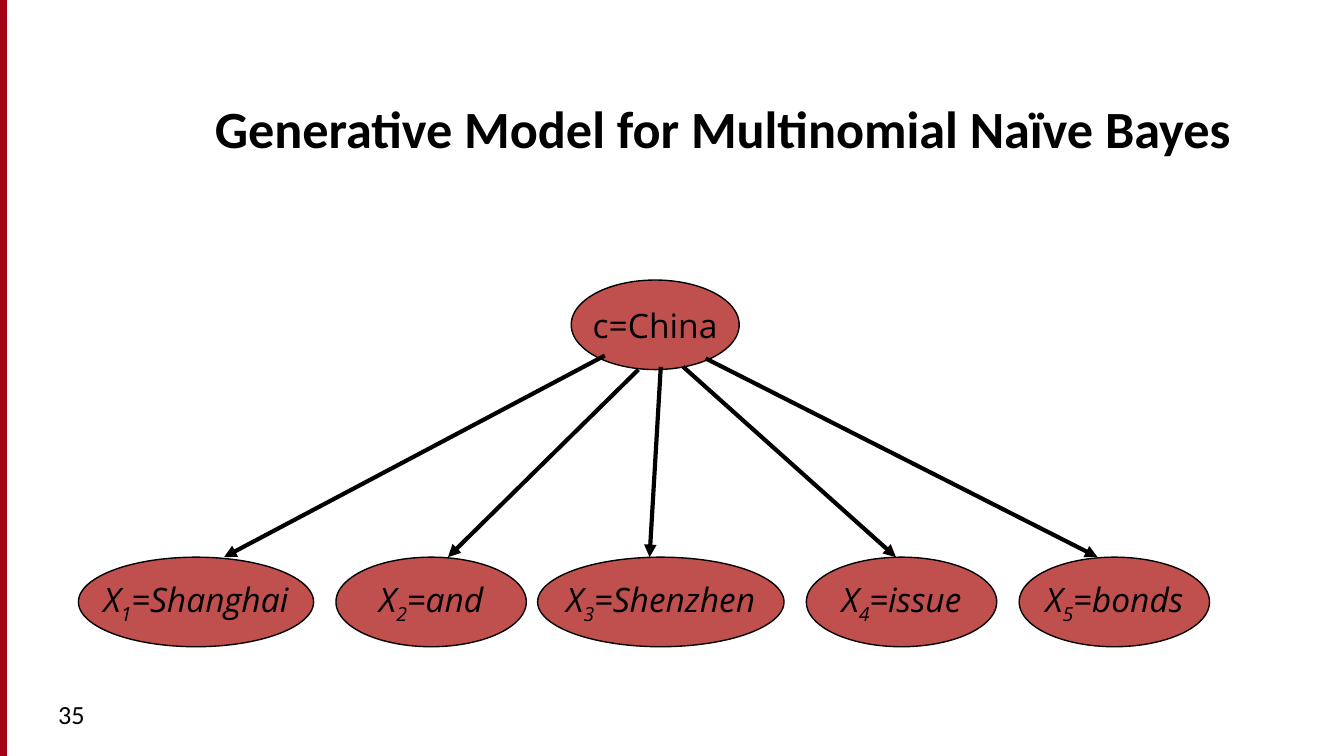
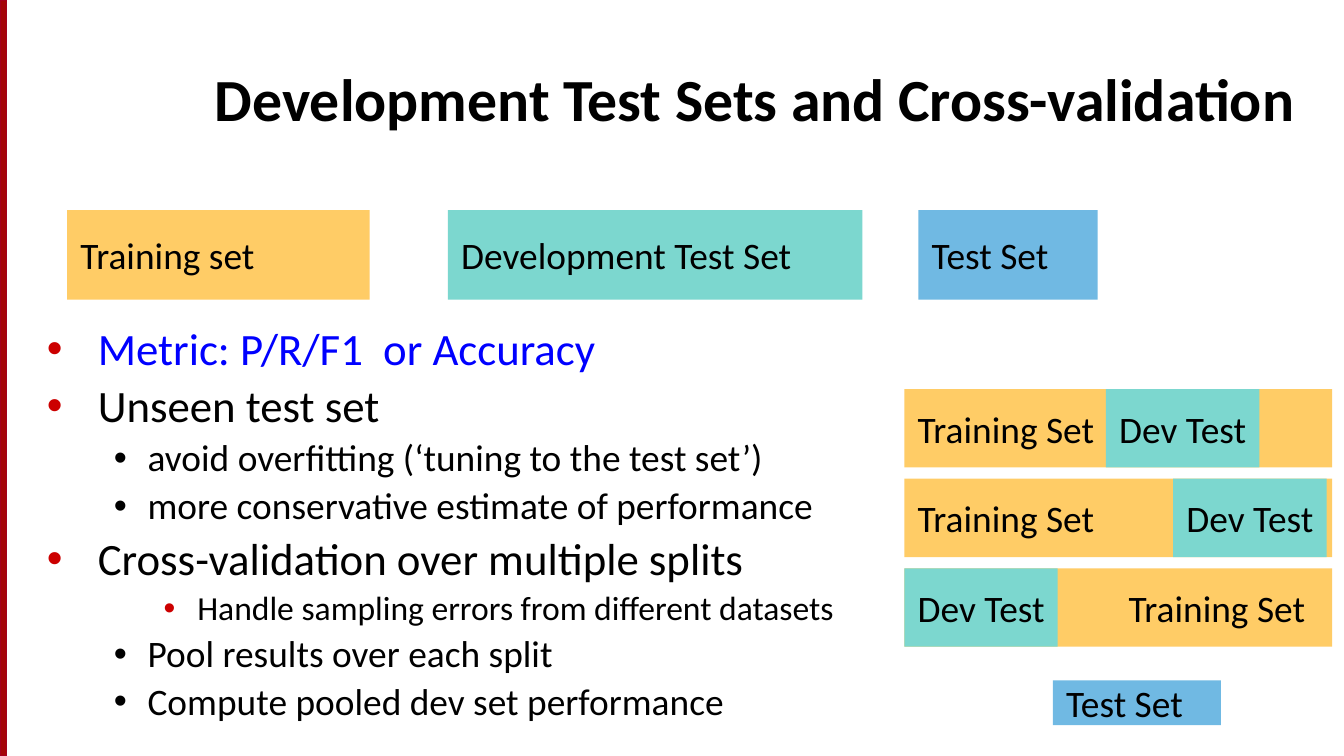
import pptx
import pptx.dml.color
import pptx.enum.shapes
import pptx.enum.text
import pptx.oxml.ns
import pptx.util
from lxml import etree

COLORS = {
    "ink": "000000", "band": "A40508", "band edge": "A4001D", "node": "C0504D",
    "train": "FFCC66", "dev": "7CD7CF", "test": "70B9E3",
    "metric": "0000FF", "bullet": "CC0000",
}
COLUMNS, ROWS = 120, 67.5
WIDTH = pptx.util.Inches(10)
HEIGHT = WIDTH * 9 // 16
CELL = WIDTH // COLUMNS  # square grid cell, used for columns and rows

SHAPE = pptx.enum.shapes.MSO_SHAPE
ALIGN = pptx.enum.text.PP_ALIGN
ANCHOR = pptx.enum.text.MSO_ANCHOR
RGB = pptx.dml.color.RGBColor.from_string
qn = pptx.oxml.ns.qn


def write(para, text, *, size=20, font="Calibri", color="ink", bold=False, italic=False, baseline=0):
    span = para.add_run()
    span.text = text
    span.font.size = pptx.util.Pt(size)
    span.font.name = font
    span.font.bold = bold
    span.font.italic = italic
    span.font.color.rgb = RGB(COLORS[color])
    if baseline:
        span.font._element.set("baseline", str(baseline * 1000))


def add_box(shapes, area, *, kind=None, fill=None, edge=None, align=ALIGN.LEFT, wrap=False):
    """Add a preset shape, or a text box when no kind is given; area is in grid cells."""
    place = [round(cells * CELL) for cells in area]
    if kind is None:
        box = shapes.add_textbox(*place)
    else:
        box = shapes.add_shape(kind, *place)
        box.shadow.inherit = False
        box.fill.solid()
        box.fill.fore_color.rgb = RGB(COLORS[fill])
        box.text_frame.vertical_anchor = ANCHOR.MIDDLE
        if edge:
            box.line.color.rgb = RGB(COLORS[edge])
            box.line.width = pptx.util.Pt(0.75)
        else:
            box.line.fill.background()
    box.text_frame.word_wrap = wrap
    box.text_frame.paragraphs[0].alignment = align
    return box


deck = pptx.Presentation()
deck.slide_width, deck.slide_height = WIDTH, HEIGHT

# Shared side band and titles
titles = [
    ("Generative Model for Multinomial Naïve Bayes", 28, (18, 5, 98, 9.75)),
    ("Development Test Sets and Cross-validation", 32, (18, 2.75, 102, 9.75)),
]
pages = []
for title, size, area in titles:
    page = deck.slides.add_slide(deck.slide_layouts[6])
    add_box(page.shapes, (0, 0, 0.6, ROWS), kind=SHAPE.RECTANGLE, fill="band", edge="band edge")
    box = add_box(page.shapes, area, wrap=True)
    box.text_frame.vertical_anchor = ANCHOR.BOTTOM
    write(box.text_frame.paragraphs[0], title, size=size, bold=True)
    pages.append(page)
model_page, testing_page = pages

# Generative model: one class node above five word nodes
page_number = add_box(model_page.shapes, (4, 61.8, 26, 4.5), wrap=True)
write(page_number.text_frame.paragraphs[0], "35", size=14)

NODE_HEIGHT, WORD_TOP = 8, 49.75
node_style = dict(kind=SHAPE.OVAL, fill="node", edge="ink", align=ALIGN.CENTER)
node_text = dict(size=18, font="Open Sans")
root = add_box(model_page.shapes, (51, 25, 15, NODE_HEIGHT), **node_style)
write(root.text_frame.paragraphs[0], "c=China", **node_text)

# word, left column, width, arrow start (column, row), arrow end column
words = [
    ("Shanghai", 7, 21, (54, 31.75), 20),
    ("and", 30, 17, (57, 33), 40),
    ("Shenzhen", 48, 22, (59, 32.75), 58),
    ("issue", 72, 17, (61, 32.75), 80),
    ("bonds", 91, 17, (63, 32), 98),
]
for number, (word, left, width, start, end) in enumerate(words, 1):
    node = add_box(model_page.shapes, (left, WORD_TOP, width, NODE_HEIGHT), **node_style)
    para = node.text_frame.paragraphs[0]
    write(para, "X", italic=True, **node_text)
    write(para, str(number), italic=True, baseline=-25, **node_text)
    write(para, f"={word}", italic=True, **node_text)

    ends = [round(cells * CELL) for cells in (*start, end, WORD_TOP)]
    arrow = model_page.shapes.add_connector(pptx.enum.shapes.MSO_CONNECTOR.STRAIGHT, *ends)
    arrow.line.color.rgb = RGB(COLORS["ink"])
    arrow.line.width = pptx.util.Pt(2.25)
    etree.SubElement(arrow.line._get_or_add_ln(), qn("a:tailEnd"), type="triangle")
    etree.SubElement(arrow._element.spPr, qn("a:effectLst"))

# Testing: bullet list
# level: indent and hanging in inches, text size, bullet colour
levels = {
    "main": (0.38, 0.38, 24, "bullet"),
    "sub": (0.75, 0.25, 20, "ink"),
    "detail": (1.12, 0.25, 18, "bullet"),
}
points = [
    ("main", "Metric: P/R/F1  or Accuracy", "metric"),
    ("main", "Unseen test set", "ink"),
    ("sub", "avoid overfitting (‘tuning to the test set’)", "ink"),
    ("sub", "more conservative estimate of performance", "ink"),
    ("main", "Cross-validation over multiple splits", "ink"),
    ("detail", "Handle sampling errors from different datasets", "ink"),
    ("sub", "Pool results over each split", "ink"),
    ("sub", "Compute pooled dev set performance", "ink"),
]
body = add_box(testing_page.shapes, (3, 17.75, 95, 49.75), wrap=True).text_frame
body.margin_top = pptx.util.Inches(0.95)
for index, (level, text, color) in enumerate(points):
    indent, hanging, size, bullet_color = levels[level]
    para = body.add_paragraph() if index else body.paragraphs[0]
    para.line_spacing = 0.9
    para.space_before = pptx.util.Pt(size * 0.2)
    props = para._p.get_or_add_pPr()
    props.set("marL", str(pptx.util.Inches(indent)))
    props.set("indent", str(-pptx.util.Inches(hanging)))
    paint = etree.SubElement(props, qn("a:buClr"))
    etree.SubElement(paint, qn("a:srgbClr"), val=COLORS[bullet_color])
    etree.SubElement(props, qn("a:buFont"), typeface="Arial")
    etree.SubElement(props, qn("a:buChar"), char="•")
    write(para, text, size=size, color=color)

# Testing: the three data sets and the final test set
data_sets = [
    ("Training set", "train", (6, 18.75, 27, 8)),
    ("Development Test Set", "dev", (40, 18.75, 37, 8)),
    ("Test Set", "test", (82, 18.75, 16, 8)),
    ("Test Set", "test", (94, 60.75, 15, 4)),
]
for text, fill, area in data_sets:
    box = add_box(testing_page.shapes, area, kind=SHAPE.RECTANGLE, fill=fill)
    write(box.text_frame.paragraphs[0], text)

# Testing: cross-validation splits, the dev part moving along the training bar
SPLIT_LEFT, SPLIT_TOP, SPLIT_PITCH = 80.75, 34.75, 8
splits = testing_page.shapes.add_group_shape().shapes
for row, (dev_offset, align) in enumerate([(18, ALIGN.LEFT), (24, ALIGN.LEFT), (0, ALIGN.RIGHT)]):
    top = SPLIT_TOP + row * SPLIT_PITCH
    train = add_box(splits, (SPLIT_LEFT, top, 38.2, 7), kind=SHAPE.RECTANGLE, fill="train",
                    align=align, wrap=True)
    train.text_frame.margin_right = pptx.util.Inches(0.2)
    write(train.text_frame.paragraphs[0], "Training Set")
    dev = add_box(splits, (SPLIT_LEFT + dev_offset, top, 13.7, 7), kind=SHAPE.RECTANGLE, fill="dev")
    write(dev.text_frame.paragraphs[0], "Dev Test")

deck.save("out.pptx")
